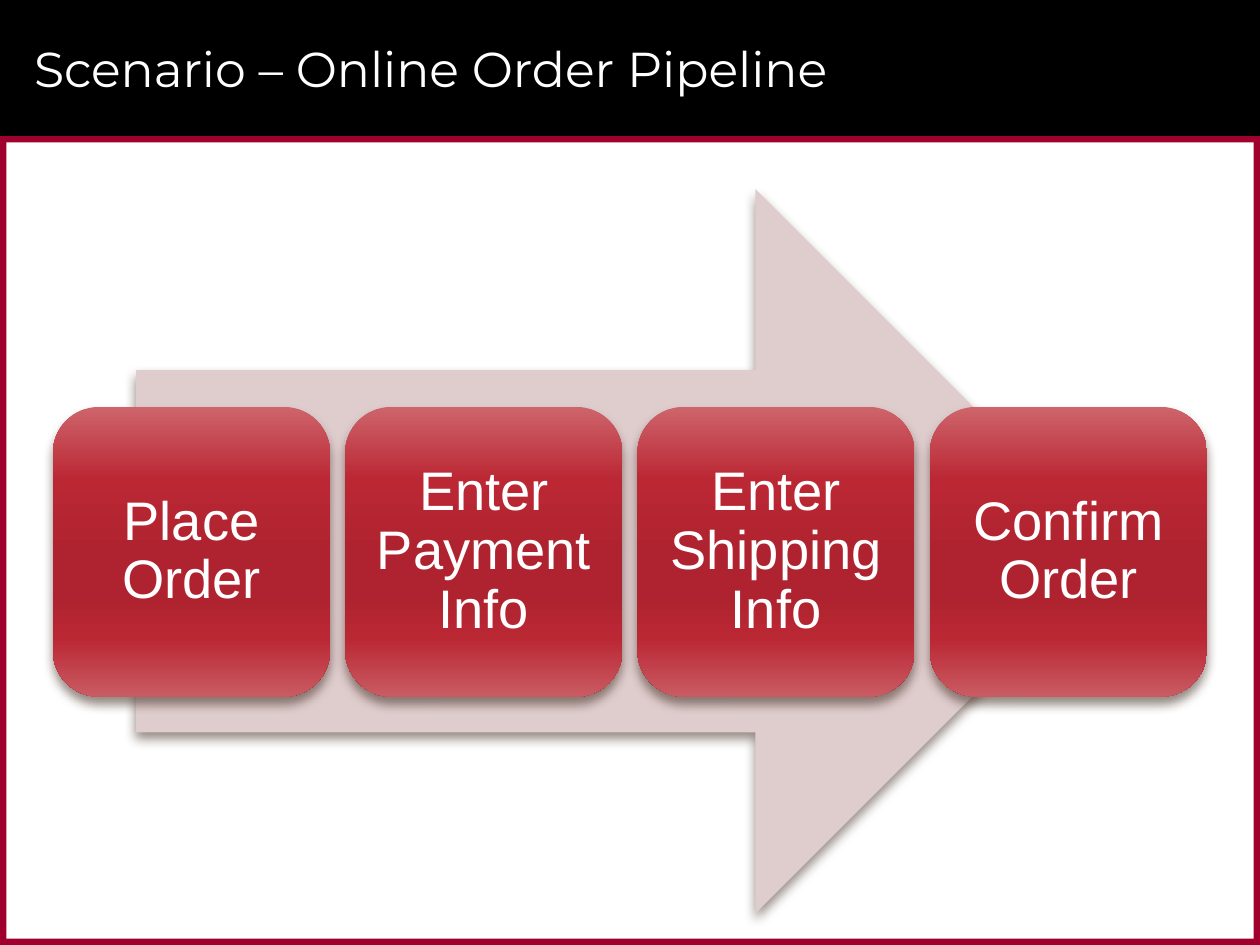
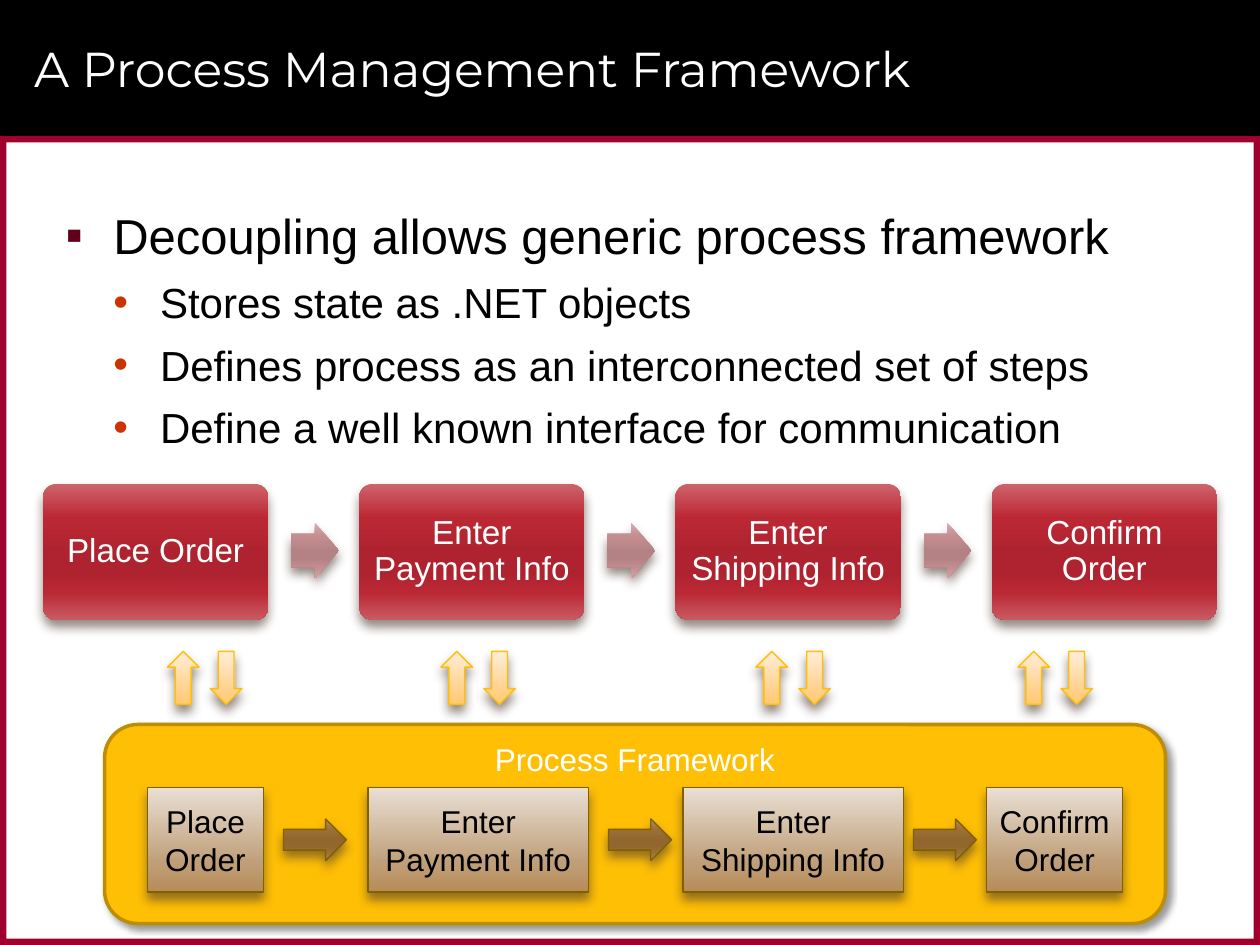
from dataclasses import dataclass
from typing import Optional

from pptx import Presentation
from pptx.dml.color import RGBColor
from pptx.enum.shapes import MSO_SHAPE
from pptx.enum.text import MSO_ANCHOR, MSO_AUTO_SIZE, PP_ALIGN
from pptx.oxml.ns import qn
from pptx.oxml.xmlchemy import OxmlElement
from pptx.util import Inches, Pt

RECTANGLE = MSO_SHAPE.RECTANGLE
ROUNDED = MSO_SHAPE.ROUNDED_RECTANGLE
RIGHT_ARROW = MSO_SHAPE.RIGHT_ARROW
UP_ARROW = MSO_SHAPE.UP_ARROW
DOWN_ARROW = MSO_SHAPE.DOWN_ARROW
LEFT, CENTER = PP_ALIGN.LEFT, PP_ALIGN.CENTER
TOP, MIDDLE = MSO_ANCHOR.TOP, MSO_ANCHOR.MIDDLE

TITLE_ONLY, TITLE_AND_CONTENT = 5, 1
TITLE_FONT, TEXT_FONT = "Montserrat", "Arial"

COLORS = {
    "black": "000000",
    "white": "FFFFFF",
    "crimson": "9F002D",
    "pale rose": "DFCCCD",
    "amber": "FFBF05",
    "dark amber": "BD8D04",
    "brown": "826000",
    "shadow brown": "4E3B30",
    "square bullet": "60001B",
    "round bullet": "CC3300",
}

GLOSSY_STOPS = (0, 25, 50, 65, 80, 100)
SOFT_STOPS = (0, 72, 100)
GRADIENTS = {
    "red": (GLOSSY_STOPS, ("CE646B", "BB2834", "AE232F", "AE232F", "BA2834", "C95B63")),
    "rose": (GLOSSY_STOPS, ("D9AAAD", "C38D90", "B48285", "B48285", "C28C90", "D3A3A6")),
    "bronze": (GLOSSY_STOPS, ("B5946E", "9C6F34", "91672F", "91672F", "9B6F33", "AF8D65")),
    "cream": (SOFT_STOPS, ("FFEEDA", "FFD18C", "FFCA70")),
    "tan": (SOFT_STOPS, ("E9DFD4", "BF9F79", "B78C57")),
}

STEPS = ("Place Order", "Enter Payment Info", "Enter Shipping Info", "Confirm Order")


@dataclass(frozen=True)
class Shadow:
    color: str = "shadow brown"
    opacity: int = 60
    blur: float = 6
    distance: float = 4
    angle: int = 90


@dataclass(frozen=True)
class Look:
    """Fill names a colour or a gradient; line names a colour."""
    fill: str
    line: Optional[str] = None
    line_width: float = 0.79
    shadow: Optional[Shadow] = Shadow()


@dataclass(frozen=True)
class Area:
    left: float
    top: float
    width: float
    height: float


@dataclass(frozen=True)
class Bullet:
    text: str
    level: int
    size: int
    symbol: str
    color: str
    indent: float
    hanging: float


BAND = Look("crimson", shadow=None)
BIG_ARROW = Look("pale rose")
STEP = Look("red")
STEP_ARROW = Look("rose")
EXCHANGE_ARROW = Look("cream", "amber")
FRAMEWORK = Look("amber", "dark amber", 2, Shadow("black", 40, 4, 3, 45))
INNER_STEP = Look("tan", "brown")
INNER_ARROW = Look("bronze", "brown")

BANDS = (
    (Area(0, 0, 10, 1.08), Look("black", shadow=None)),
    (Area(0, 1.08, 10, 0.05), BAND),
    (Area(0, 7.45, 10, 0.05), BAND),
    (Area(9.95, 1.08, 0.05, 6.42), BAND),
    (Area(0, 1.08, 0.05, 6.42), BAND),
)

BULLETS = (
    Bullet("Decoupling allows generic process framework", 0, 28, "▪", "square bullet", 0.38, 0.38),
    *(
        Bullet(text, 1, 24, "•", "round bullet", 0.75, 0.37)
        for text in (
            "Stores state as .NET objects",
            "Defines process as an interconnected set of steps",
            "Define a well known interface for communication",
        )
    ),
)


def rgb(name: str) -> RGBColor:
    return RGBColor.from_string(COLORS[name])


def add_element(parent, tag: str, **attributes):
    child = OxmlElement(tag)
    for name, value in attributes.items():
        child.set(name, str(value))
    parent.append(child)
    return child


def place(shape, area: Area) -> None:
    shape.left, shape.top = Inches(area.left), Inches(area.top)
    shape.width, shape.height = Inches(area.width), Inches(area.height)


def fill_gradient(shape, name: str) -> None:
    shape.fill.gradient()
    shape.fill.gradient_angle = 270
    stops = shape.element.find(".//" + qn("a:gsLst"))
    for old_stop in list(stops):
        stops.remove(old_stop)
    for position, color in zip(*GRADIENTS[name]):
        stop = add_element(stops, "a:gs", pos=position * 1000)
        add_element(stop, "a:srgbClr", val=color)


def cast_shadow(shape, shadow: Shadow) -> None:
    effects = shape.element.find(".//" + qn("a:effectLst"))
    outer = add_element(
        effects, "a:outerShdw", blurRad=Pt(shadow.blur), dist=Pt(shadow.distance),
        dir=shadow.angle * 60000, rotWithShape=0,
    )
    color = add_element(outer, "a:srgbClr", val=COLORS[shadow.color])
    add_element(color, "a:alpha", val=shadow.opacity * 1000)


def draw(page, kind, area: Area, look: Look, adjustments: tuple = ()):
    shape = page.shapes.add_shape(kind, 0, 0, 0, 0)
    place(shape, area)
    for index, value in enumerate(adjustments):
        shape.adjustments[index] = value
    if look.fill in GRADIENTS:
        fill_gradient(shape, look.fill)
    else:
        shape.fill.solid()
        shape.fill.fore_color.rgb = rgb(look.fill)
    if look.line:
        shape.line.color.rgb = rgb(look.line)
        shape.line.width = Pt(look.line_width)
    else:
        shape.line.fill.background()
    shape.shadow.inherit = False
    if look.shadow:
        cast_shadow(shape, look.shadow)
    return shape


def format_font(font, size: float, color: str, name: str = TEXT_FONT) -> None:
    font.name, font.size = name, Pt(size)
    font.color.rgb = rgb(color)


def write(box, text: str, *, size: float, color: str = "white", font: str = TEXT_FONT,
          align=CENTER, anchor=MIDDLE, inset: Optional[float] = None,
          spacing: float = 1.0) -> None:
    frame = box.text_frame
    frame.word_wrap = True
    frame.auto_size = MSO_AUTO_SIZE.NONE
    frame.vertical_anchor = anchor
    if inset is not None:
        frame.margin_left = frame.margin_right = Inches(inset)
        frame.margin_top = frame.margin_bottom = Inches(inset)
    para = frame.paragraphs[0]
    para.alignment, para.line_spacing = align, spacing
    span = para.add_run()
    span.text = text
    format_font(span.font, size, color, font)


def add_bands_to_master(deck, page) -> None:
    tree = deck.slide_master.shapes.element
    for index, (area, look) in enumerate(BANDS):
        band = draw(page, RECTANGLE, area, look)
        tree.insert(2 + index, band.element)


def add_page(deck, layout: int, title: str):
    page = deck.slides.add_slide(deck.slide_layouts[layout])
    place(page.shapes.title, Area(0.17, 0.08, 9.42, 0.92))
    write(page.shapes.title, title, size=28, font=TITLE_FONT, align=LEFT)
    return page


def write_bullets(body, bullets: tuple) -> None:
    place(body, Area(0.42, 1.58, 9.17, 2.25))
    frame = body.text_frame
    frame.auto_size = MSO_AUTO_SIZE.NONE
    for index, bullet in enumerate(bullets):
        para = frame.add_paragraph() if index else frame.paragraphs[0]
        para.level = bullet.level
        properties = para._p.get_or_add_pPr()
        properties.set("marL", str(Inches(bullet.indent)))
        properties.set("indent", str(-Inches(bullet.hanging)))
        color = add_element(properties, "a:buClr")
        add_element(color, "a:srgbClr", val=COLORS[bullet.color])
        add_element(properties, "a:buFont", typeface=TEXT_FONT)
        add_element(properties, "a:buChar", char=bullet.symbol)
        para.space_before = Pt(4 if index else 0)
        para.space_after = Pt(3)
        span = para.add_run()
        span.text = bullet.text
        format_font(span.font, bullet.size, "black")


def build_pipeline(page) -> None:
    draw(page, RIGHT_ARROW, Area(1.08, 1.5, 7.79, 5.75), BIG_ARROW)
    for index, step in enumerate(STEPS):
        box = draw(page, ROUNDED, Area(0.42 + 2.32 * index, 3.23, 2.2, 2.3), STEP)
        write(box, step, size=31, inset=0.02, spacing=0.9)


def build_step_row(page) -> None:
    for index, step in enumerate(STEPS):
        left = 0.34 + 2.51 * index
        box = draw(page, ROUNDED, Area(left, 3.84, 1.79, 1.08), STEP, (0.1,))
        write(box, step, size=19, inset=0.05, spacing=0.9)
        if index < len(STEPS) - 1:
            draw(page, RIGHT_ARROW, Area(left + 1.97, 4.15, 0.38, 0.44), STEP_ARROW, (0.6, 0.5))


def build_framework(page) -> None:
    framework = draw(page, ROUNDED, Area(0.83, 5.75, 8.42, 1.58), FRAMEWORK)
    write(framework, "Process Framework", size=18, anchor=TOP)
    for left in (1.33, 3.5, 6, 8.08):
        draw(page, UP_ARROW, Area(left, 5.17, 0.25, 0.42), EXCHANGE_ARROW)
        draw(page, DOWN_ARROW, Area(left + 0.34, 5.17, 0.25, 0.42), EXCHANGE_ARROW)
    inner_columns = ((1.17, 0.92), (2.92, 1.75), (5.42, 1.75), (7.83, 1.08))
    for step, (left, width) in zip(STEPS, inner_columns):
        box = draw(page, RECTANGLE, Area(left, 6.25, width, 0.83), INNER_STEP)
        write(box, step, size=18, color="black")
    for left in (2.25, 4.83, 7.25):
        draw(page, RIGHT_ARROW, Area(left, 6.5, 0.5, 0.33), INNER_ARROW)


def main() -> None:
    deck = Presentation()
    deck.slide_width, deck.slide_height = Inches(10), Inches(7.5)

    pipeline = add_page(deck, TITLE_ONLY, "Scenario – Online Order Pipeline")
    add_bands_to_master(deck, pipeline)
    build_pipeline(pipeline)

    management = add_page(deck, TITLE_AND_CONTENT, "A Process Management Framework")
    write_bullets(management.placeholders[1], BULLETS)
    build_step_row(management)
    build_framework(management)

    deck.save("out.pptx")


if __name__ == "__main__":
    main()
